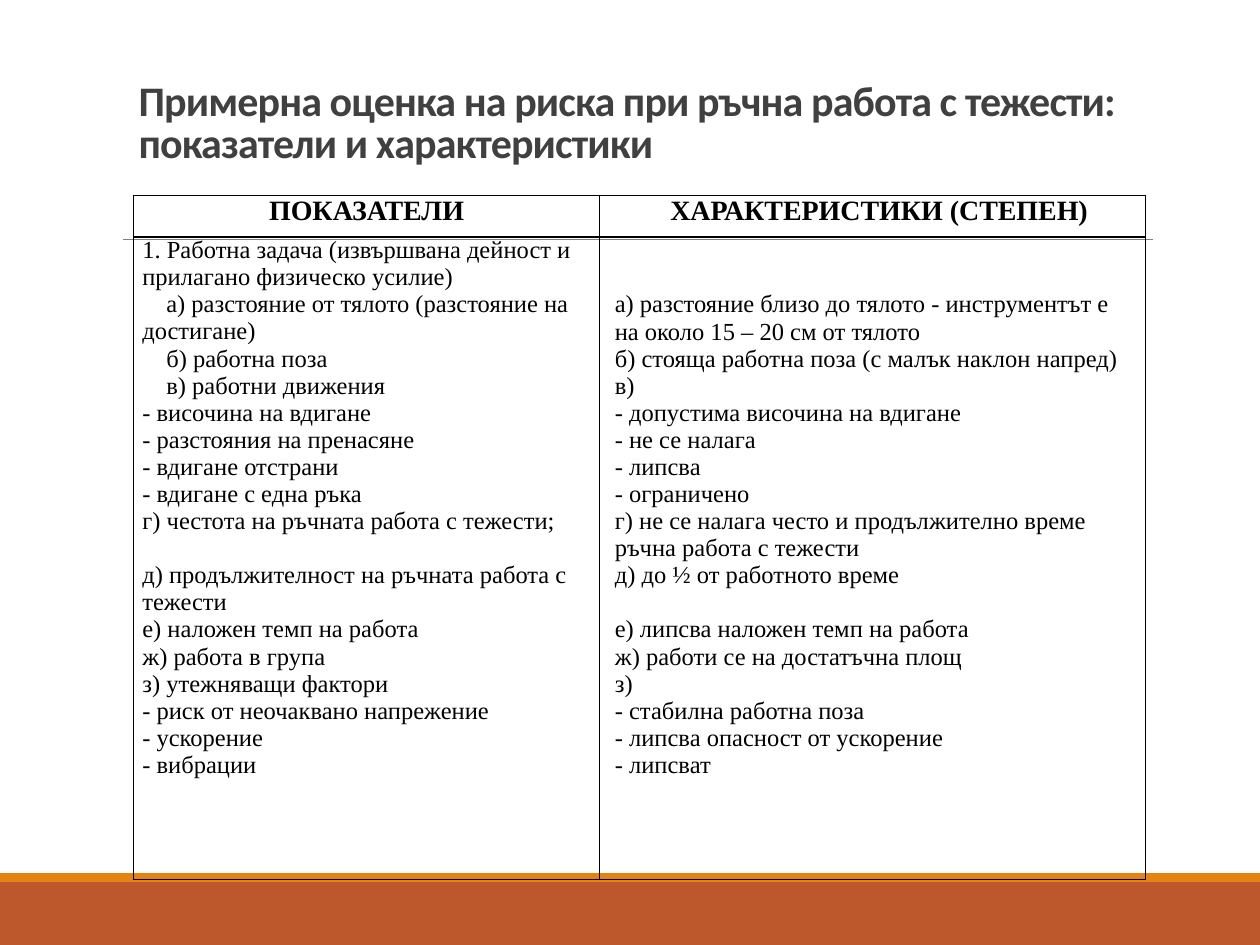
from dataclasses import dataclass

from lxml.etree import SubElement
from pptx import Presentation
from pptx.dml.color import RGBColor
from pptx.enum.shapes import MSO_CONNECTOR, MSO_SHAPE
from pptx.enum.text import MSO_ANCHOR, MSO_AUTO_SIZE, PP_ALIGN
from pptx.oxml.ns import qn
from pptx.util import Emu, Inches, Pt

SERIF = "Times New Roman"
LINE_PT = 15.5  # height of one line of 14 pt body text
STEP = 0.19     # first-line indent of the sub-items, inches


@dataclass(frozen=True)
class Band:
    top: float  # share of the slide's height
    height: float
    color: str


@dataclass(frozen=True)
class Item:
    text: str
    indent: float = 0
    lines_before: int = 0
    align: PP_ALIGN = PP_ALIGN.LEFT


@dataclass(frozen=True)
class Column:
    width: float
    header: Item
    items: list[Item]
    left: float = 0
    lines_above: int = 0


BANDS = [Band(7 / 7.5, 0.5 / 7.5, "BD582C"), Band(6.93 / 7.5, 0.07 / 7.5, "E48312")]
ROW_HEIGHTS = (0.33, 5.1)
COLUMNS = [
    Column(3.7, Item("ПОКАЗАТЕЛИ", align=PP_ALIGN.CENTER), [
        Item("1. Работна задача (извършвана дейност и прилагано физическо усилие)"),
        Item("а) разстояние от тялото (разстояние на достигане)", STEP),
        Item("б) работна поза", STEP),
        Item("в) работни движения", STEP),
        Item("- височина на вдигане"),
        Item("- разстояния на пренасяне"),
        Item("- вдигане отстрани"),
        Item("- вдигане с една ръка"),
        Item("г) честота на ръчната работа с тежести;"),
        Item("д) продължителност на ръчната работа с тежести", lines_before=1),
        Item("е) наложен темп на работа"),
        Item("ж) работа в група"),
        Item("з) утежняващи фактори"),
        Item("- риск от неочаквано напрежение"),
        Item("- ускорение"),
        Item("- вибрации", align=PP_ALIGN.JUSTIFY),
    ]),
    Column(4.33, Item("ХАРАКТЕРИСТИКИ (СТЕПЕН)", 0.49), [
        Item("а) разстояние близо до тялото - инструментът е на около 15 – 20 см от тялото"),
        Item("б) стояща работна поза (с малък наклон напред)"),
        Item("в)"),
        Item("- допустима височина на вдигане"),
        Item("- не се налага"),
        Item("- липсва"),
        Item("- ограничено"),
        Item("г) не се налага често и продължително време ръчна работа с тежести"),
        Item("д) до ½ от работното време"),
        Item("е) липсва наложен темп на работа", lines_before=1),
        Item("ж) работи се на достатъчна площ"),
        Item("з)"),
        Item("- стабилна работна поза"),
        Item("- липсва опасност от ускорение"),
        Item("- липсват"),
    ], left=0.05, lines_above=2),
]


def rgb(color: str) -> RGBColor:
    return RGBColor.from_string(color)


def write(p, text: str, *, size: float, font: str, color: str = "000000",
          bold: bool = False, spacing: float = 0) -> None:
    r = p.add_run()
    r.text = text
    r.font.size, r.font.name, r.font.bold = Pt(size), font, bold
    r.font.color.rgb = rgb(color)
    if spacing:
        r._r.get_or_add_rPr().set("spc", str(round(spacing * 100)))


def draw_band(slide, prs, band: Band) -> None:
    sp = slide.shapes.add_shape(
        MSO_SHAPE.RECTANGLE, 0, Emu(round(prs.slide_height * band.top)),
        prs.slide_width, Emu(round(prs.slide_height * band.height)))
    sp.shadow.inherit = False
    sp.fill.solid()
    sp.fill.fore_color.rgb = rgb(band.color)
    sp.line.fill.background()


def draw_rule(slide) -> None:
    line = slide.shapes.add_connector(
        MSO_CONNECTOR.STRAIGHT, Inches(0.98), Inches(1.9), Inches(9.15), Inches(1.9))
    line.line.color.rgb = rgb("808080")
    line.line.width = Pt(0.5)
    SubElement(line._element.spPr, qn("a:effectLst"))


def write_title(slide) -> None:
    title = slide.shapes.title
    title.left, title.top, title.width, title.height = map(Inches, (1, 0.44, 8, 0.94))
    tf = title.text_frame
    tf.word_wrap, tf.auto_size = True, MSO_AUTO_SIZE.NONE
    tf.vertical_anchor = MSO_ANCHOR.BOTTOM
    p = tf.paragraphs[0]
    p.alignment, p.line_spacing = PP_ALIGN.LEFT, 0.85
    write(p, "Примерна оценка на риска при ръчна работа с тежести: показатели и характеристики",
          size=24, font="Calibri", color="404040", bold=True, spacing=-0.5)


def border_cell(cell, color: str = "000000", width: float = 1) -> None:
    tc_pr = cell._tc.get_or_add_tcPr()
    for i, side in enumerate(("lnL", "lnR", "lnT", "lnB")):
        ln = tc_pr.makeelement(qn(f"a:{side}"), {"w": str(Pt(width))})
        SubElement(SubElement(ln, qn("a:solidFill")), qn("a:srgbClr"), val=color)
        tc_pr.insert(i, ln)


def fill_cell(cell, items: list[Item], size: float, bold: bool = False,
              left: float = 0, lines_above: int = 0) -> None:
    cell.margin_left = cell.margin_right = Inches(0.07)
    cell.margin_top, cell.margin_bottom = Pt(lines_above * LINE_PT), 0
    cell.vertical_anchor = MSO_ANCHOR.TOP
    cell.fill.background()
    border_cell(cell)
    tf = cell.text_frame
    for i, item in enumerate(items):
        p = tf.add_paragraph() if i else tf.paragraphs[0]
        p.alignment = item.align
        p.space_before = Pt(item.lines_before * LINE_PT)
        p_pr = p._p.get_or_add_pPr()
        p_pr.set("marL", str(Inches(left)))
        p_pr.set("indent", str(Inches(item.indent)))
        write(p, item.text, size=size, font=SERIF, bold=bold)


def draw_table(slide) -> None:
    width = sum(c.width for c in COLUMNS)
    table = slide.shapes.add_table(
        len(ROW_HEIGHTS), len(COLUMNS), Inches(1.06), Inches(1.55),
        Inches(width), Inches(sum(ROW_HEIGHTS))).table
    table.first_row = table.horz_banding = False
    for row, height in zip(table.rows, ROW_HEIGHTS):
        row.height = Inches(height)
    for i, col in enumerate(COLUMNS):
        table.columns[i].width = Inches(col.width)
        fill_cell(table.cell(0, i), [col.header], 16, bold=True)
        fill_cell(table.cell(1, i), col.items, 14, left=col.left, lines_above=col.lines_above)


def main() -> None:
    prs = Presentation()
    prs.slide_width, prs.slide_height = Inches(10), Inches(7.5)
    slide = prs.slides.add_slide(prs.slide_layouts[5])
    for band in BANDS:
        draw_band(slide, prs, band)
    draw_rule(slide)
    write_title(slide)
    draw_table(slide)
    prs.save("out.pptx")


if __name__ == "__main__":
    main()
